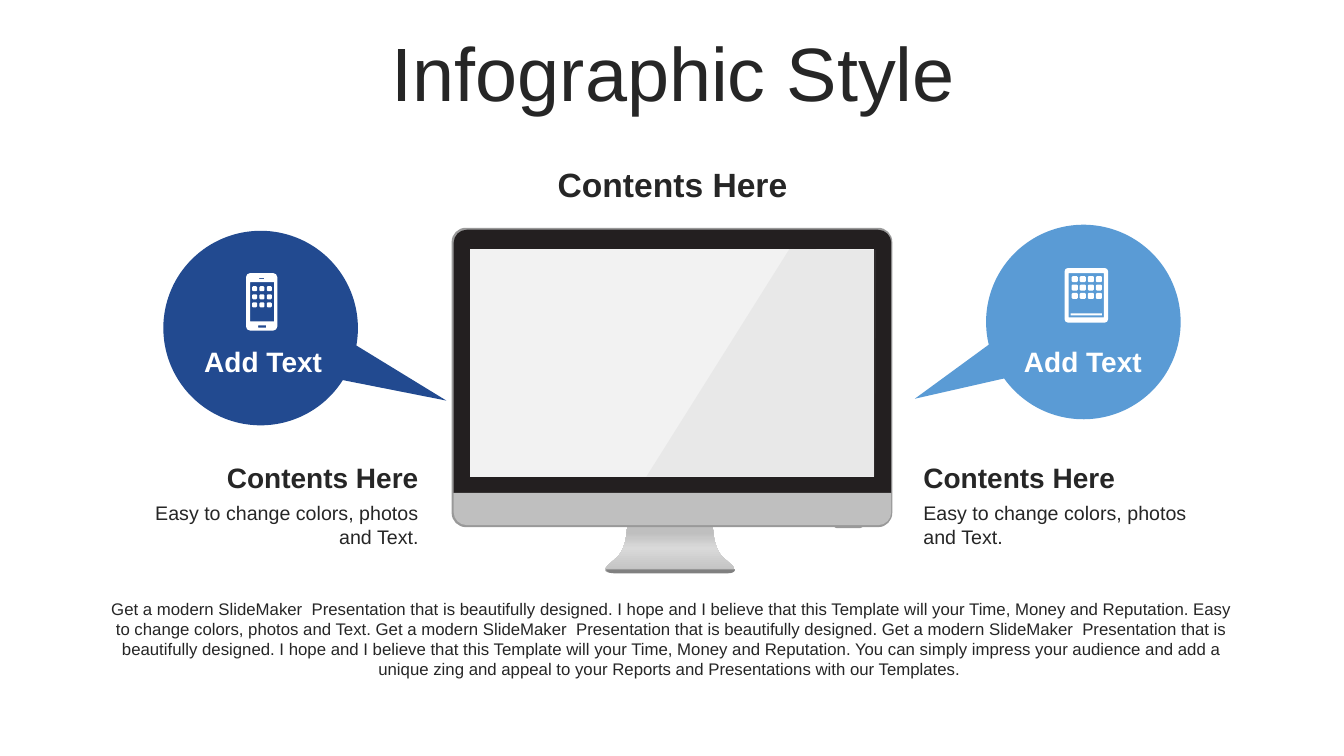
import copy

import pptx
import pptx.dml.color
import pptx.enum.shapes
import pptx.enum.text
import pptx.oxml
import pptx.util

RGBColor = pptx.dml.color.RGBColor
Align = pptx.enum.text.PP_ALIGN
AutoSize = pptx.enum.text.MSO_AUTO_SIZE

NAVY = RGBColor(0x22, 0x4A, 0x90)
SKY = RGBColor(0x5A, 0x9B, 0xD5)
WHITE = RGBColor(0xFF, 0xFF, 0xFF)
INK = RGBColor(0x26, 0x26, 0x26)
BEZEL = RGBColor(0x23, 0x1F, 0x20)
SCREEN = RGBColor(0xF2, 0xF2, 0xF2)
EDGE = RGBColor(0x99, 0x99, 0x99)
FOOT = RGBColor(0x80, 0x80, 0x80)
SILVER = RGBColor(0xBF, 0xBF, 0xBF)
SHINE = RGBColor(0xD9, 0xD9, 0xD9)

# The slide is a grid of one-inch columns and rows; boxes are left, top, width, height.
COLUMNS, ROWS = 13.33, 7.5
TITLE = "Infographic Style"
HEADING = "Contents Here"
BUBBLE_LABEL = "Add Text"
CAPTION = "Easy to change colors, photos and Text."
SUMMARY = (
    "Get a modern SlideMaker  Presentation that is beautifully designed. "
    "I hope and I believe that this Template will your Time, Money and Reputation. "
    "Easy to change colors, photos and Text. "
    "Get a modern SlideMaker  Presentation that is beautifully designed. "
    "Get a modern SlideMaker  Presentation that is beautifully designed. "
    "I hope and I believe that this Template will your Time, Money and Reputation. "
    "You can simply impress your audience and add a unique zing and appeal "
    "to your Reports and Presentations with our Templates. "
)
BUBBLES = [
    dict(color=SKY, corner=(9.78, 2.23), tail=(-0.534, 0.788)),
    dict(color=NAVY, corner=(1.62, 2.29), tail=(1.009, -0.179)),
]
SIDES = [
    dict(label_left=1.8, left=1.39, width=2.86, align=Align.RIGHT),
    dict(label_left=9.93, left=9.06, width=2.88, align=Align.LEFT),
]
DEVICES = [
    dict(body=(10.56, 2.66, 0.43, 0.54), corner=0.03, screen=(10.6, 2.71, 0.35, 0.44),
         first_key=(10.63, 2.74), key=0.06, pitch=(0.08, 0.083), count=(4, 3),
         marks=[(10.62, 3.11, 0.31, 0.02)]),
    dict(body=(2.44, 2.71, 0.31, 0.57), corner=0.04, screen=(2.48, 2.8, 0.24, 0.39),
         first_key=(2.5, 2.84), key=0.05, pitch=(0.073, 0.08), count=(3, 3),
         marks=[(2.57, 2.76, 0.05, 0.01), (2.56, 3.23, 0.08, 0.02)]),
]
# A contour is a list of steps: one point is a move or line, three points are a curve.
STAND_CENTER = 6.645
STAND_RIGHT = [(7.07, 5.22), (7.07, 5.22), (7.07, 5.42), (7.16, 5.52),
               (7.26, 5.61), (7.4, 5.69), (7.15, 5.69)]
STAND_STOPS = [(0, SILVER), (0.53, SHINE), (0.83, SILVER), (1, SILVER)]
FOOT_CONTOUR = [
    [(6.01, 5.65)], [(6.01, 5.68), (6.05, 5.69), (6.15, 5.69)],
    [(7.16, 5.69)], [(7.26, 5.69), (7.29, 5.68), (7.29, 5.65)],
]
GLARE = [[(7.83, 2.47)], [(8.69, 2.48)], [(8.68, 4.73)], [(6.41, 4.73)]]

inches = pptx.util.Inches
qn = pptx.oxml.ns.qn
NAMESPACE = pptx.oxml.ns.nsdecls("a")
presentation = pptx.Presentation()
presentation.slide_width = inches(COLUMNS)
presentation.slide_height = inches(ROWS)
slide = presentation.slides.add_slide(presentation.slide_layouts[5])


def finish(shape, color):
    shape.shadow.inherit = False
    shape.fill.solid()
    shape.fill.fore_color.rgb = color
    shape.line.fill.background()
    return shape


def rounded(box, top=0, bottom=0):
    """Contour of a rectangle with the given radii of its top and bottom corners."""
    left, upper, width, height = box
    right, lower = left + width, upper + height
    corners = [(left, upper, top, (0, 1), (1, 0)), (right, upper, top, (-1, 0), (0, 1)),
               (right, lower, bottom, (0, -1), (-1, 0)),
               (left, lower, bottom, (1, 0), (0, -1))]
    contour = []
    for x, y, radius, enter, leave in corners:
        def along(direction, share):
            return x + direction[0] * radius * share, y + direction[1] * radius * share
        contour.append([along(enter, 1)])
        if radius:
            contour.append([along(enter, 0.45), along(leave, 0.45), along(leave, 1)])
    return contour


def add_outline(box, contours, color):
    """Add a freeform whose contours may hold curves; inner contours cut holes."""
    left, top, width, height = map(inches, box)
    builder = slide.shapes.build_freeform(left, top)
    builder.add_line_segments([(left + width, top), (left + width, top + height),
                               (left, top + height)], close=True)
    shape = finish(builder.convert_to_shape(), color)
    outline = shape._element.spPr.find(".//" + qn("a:path"))
    for child in list(outline):
        outline.remove(child)
    for contour in contours:
        for index, step in enumerate(contour):
            tag = "moveTo" if index == 0 else "lnTo" if len(step) == 1 else "cubicBezTo"
            points = "".join(f'<a:pt x="{inches(x) - left}" y="{inches(y) - top}"/>'
                             for x, y in step)
            outline.append(pptx.oxml.parse_xml(
                f"<a:{tag} {NAMESPACE}>{points}</a:{tag}>"))
        outline.append(pptx.oxml.parse_xml(f"<a:close {NAMESPACE}/>"))
    return shape


def write_text(shape, text, size, color=INK, bold=False, align=Align.CENTER):
    frame = shape.text_frame
    frame.word_wrap = True
    paragraph = frame.paragraphs[0]
    paragraph.alignment = align
    run = paragraph.add_run()
    run.text = text
    run.font.name = "Arial"
    run.font.size = pptx.util.Pt(size)
    run.font.bold = bold
    run.font.color.rgb = color
    return paragraph


def add_text(box, text, size, **text_format):
    shape = slide.shapes.add_textbox(*map(inches, box))
    write_text(shape, text, size, **text_format)
    shape.text_frame.auto_size = AutoSize.SHAPE_TO_FIT_TEXT


def add_stand():
    left = [(2 * STAND_CENTER - x, y) for x, y in reversed(STAND_RIGHT)]
    contour = []
    for half in (STAND_RIGHT, left):
        contour += [half[:1], half[1:4], half[4:]]
    stand = add_outline((5.99, 5.2, 1.31, 0.5), [contour], SILVER)
    stand.fill.gradient()
    stand.fill.gradient_angle = 90
    stops = stand._element.spPr.find(".//" + qn("a:gsLst"))
    for _ in range(len(STAND_STOPS) - len(stops)):
        stops.append(copy.deepcopy(stops[0]))
    for stop, (position, color) in zip(stand.fill.gradient_stops, STAND_STOPS):
        stop.position = position
        stop.color.rgb = color


def add_monitor():
    add_stand()
    case = rounded((4.48, 2.26, 4.37, 2.97), 0.14, 0.14)
    button = rounded((8.27, 5.21, 0.29, 0.03), 0, 0.03)
    bezel = rounded((4.5, 2.28, 4.34, 2.61), 0.13)
    chin = rounded((4.5, 4.89, 4.34, 0.32), 0, 0.13)
    panel = rounded((4.66, 2.47, 4.01, 2.26))
    add_outline((4.46, 2.24, 4.41, 3), [case], EDGE)
    add_outline((8.25, 5.19, 0.3, 0.05), [button], EDGE)
    add_outline((4.48, 2.26, 4.36, 2.63), [bezel], BEZEL)
    add_outline((5.99, 5.63, 1.31, 0.07), [FOOT_CONTOUR], FOOT)
    add_outline((4.48, 4.87, 4.36, 0.35), [chin], SILVER)
    add_outline((4.64, 2.45, 4.04, 2.28), [panel], SCREEN)
    glare = add_outline((6.41, 2.47, 2.28, 2.26), [GLARE], EDGE)
    color = glare._element.spPr.find(".//" + qn("a:srgbClr"))
    color.append(pptx.oxml.parse_xml(f'<a:alpha {NAMESPACE} val="10000"/>'))


def add_bubble(color, corner, tail):
    callout = slide.shapes.add_shape(pptx.enum.shapes.MSO_SHAPE.OVAL_CALLOUT,
                                     *map(inches, (*corner, 1.93, 1.93)))
    callout.adjustments[0], callout.adjustments[1] = tail
    callout.rotation = 31.4
    finish(callout, color)


def add_side(label_left, left, width, align):
    add_text((label_left, 3.37, 1.62, 0.44), BUBBLE_LABEL, 20, color=WHITE, bold=True)
    add_text((left, 4.52, width, 0.44), HEADING, 20, bold=True, align=align)
    add_text((left, 4.92, width, 0.57), CAPTION, 14, align=align)


def add_device(body, corner, screen, first_key, key, pitch, count, marks):
    contours = [rounded(mark) for mark in marks]
    for row in range(count[1]):
        for column in range(count[0]):
            box = (first_key[0] + column * pitch[0], first_key[1] + row * pitch[1], key, key)
            contours.append(rounded(box, 0.01, 0.01))
    contours += [rounded(screen), rounded(body, corner, corner)]
    add_outline(body, contours, WHITE)


title = slide.shapes.title
title.left, title.top, title.width, title.height = map(inches, (0.35, 0.37, 12.66, 0.79))
title.text_frame.vertical_anchor = pptx.enum.text.MSO_ANCHOR.MIDDLE
title.text_frame.auto_size = AutoSize.NONE
title_paragraph = write_text(title, TITLE, 54)
title_paragraph.line_spacing = 0.9
title_paragraph.space_before = pptx.util.Pt(10)

add_monitor()
for bubble in BUBBLES:
    add_bubble(**bubble)
for side in SIDES:
    add_side(**side)
add_text((5.11, 1.58, 3.12, 0.5), HEADING, 24, bold=True)
add_text((0.95, 5.89, 11.43, 0.91), SUMMARY, 12)
for device in DEVICES:
    add_device(**device)

presentation.save("out.pptx")
